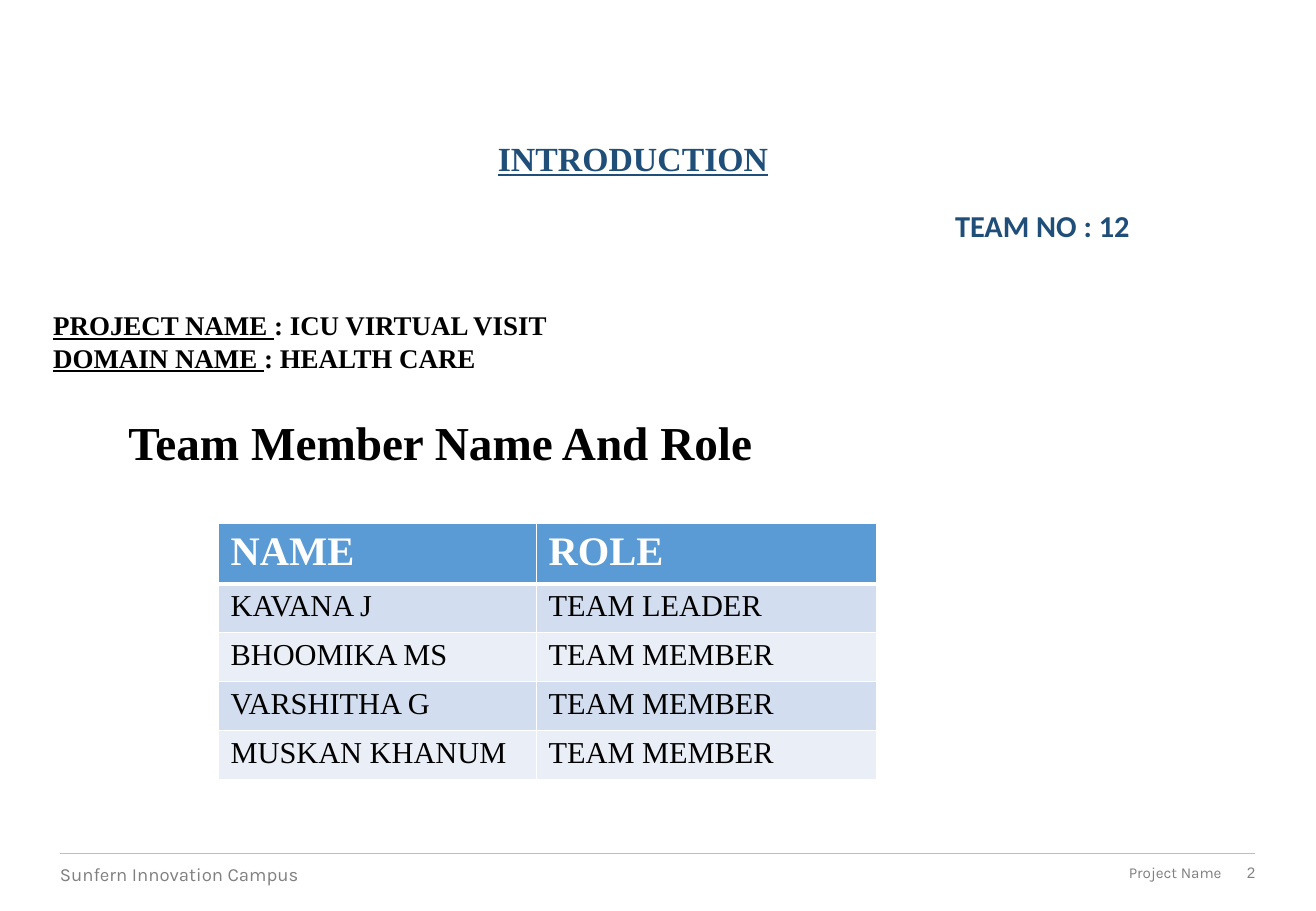
import pptx
import pptx.util
import pptx.dml.color
import pptx.enum.shapes
import pptx.enum.text
import pptx.oxml
import pptx.oxml.ns

Pt = pptx.util.Pt
ALIGN = pptx.enum.text.PP_ALIGN
ANCHOR = pptx.enum.text.MSO_ANCHOR
SERIF = "Times New Roman"
NAVY, BLACK, GREY, WHITE = "1F4E79", "000000", "808080", "FFFFFF"
HEADER_FILL, BAND_FILLS = "5B9BD5", ("D2DEEF", "EAEFF7")
MEMBERS = [
    ("NAME", "ROLE"),
    ("KAVANA J", "TEAM LEADER"),
    ("BHOOMIKA MS", "TEAM MEMBER"),
    ("VARSHITHA G", "TEAM MEMBER"),
    ("MUSKAN KHANUM", "TEAM MEMBER"),
]


def rgb(value):
    return pptx.dml.color.RGBColor.from_string(value)


def add_run(p, text, color, **font):
    r = p.add_run()
    r.text = text
    r.font.color.rgb = rgb(color)
    for key, value in font.items():
        setattr(r.font, key, value)


def add_text(s, box, lines, color, align=ALIGN.LEFT, frame=None, **font):
    """Add a text box; each line is a list of (text, underlined) runs."""
    tf = s.shapes.add_textbox(*map(Pt, box)).text_frame
    settings = {"word_wrap": True,
                "auto_size": pptx.enum.text.MSO_AUTO_SIZE.SHAPE_TO_FIT_TEXT}
    for key, value in {**settings, **(frame or {})}.items():
        setattr(tf, key, value)
    for i, runs in enumerate(lines):
        p = tf.add_paragraph() if i else tf.paragraphs[0]
        p.alignment = align
        for text, underline in runs:
            add_run(p, text, color, underline=underline, **font)


def add_footer(s, x, y, w):
    line = s.shapes.add_connector(pptx.enum.shapes.MSO_CONNECTOR.STRAIGHT,
                                  Pt(x), Pt(y), Pt(x + w), Pt(y))
    line.line.color.rgb = rgb("BFBFBF")
    line.line.width = Pt(0.5)
    pptx.oxml.ns.qn("a:effectLst")
    line._element.spPr.append(
        pptx.oxml.parse_xml(f'<a:effectLst {pptx.oxml.ns.nsdecls("a")}/>'))
    flush = {f"margin_{side}": 0 for side in ("left", "top", "right", "bottom")}
    middle = {**flush, "vertical_anchor": ANCHOR.MIDDLE}
    top = y + 5.75
    add_text(s, (x, top, 228, 13.7), [[("Sunfern Innovation Campus", False)]], GREY,
             frame=flush, name="Karla", size=Pt(11))
    for text, right, width, face in (("Project Name", x + w - 20, 185, "Karla"),
                                     ("2", x + w, 48, "Arial")):
        add_text(s, (right - width, top, width, 10.8), [[(text, False)]], GREY,
                 ALIGN.RIGHT, middle, name=face, size=Pt(9))


def add_headings(s, x, y):
    serif = {"name": SERIF, "bold": True}
    add_text(s, (x + 263.5, y, 219, 31.5), [[("INTRODUCTION", True)]], NAVY,
             size=Pt(20), **serif)
    add_text(s, (x + 534.5, y + 41, 160, 29), [[("TEAM NO : 12", False)]], NAVY,
             name="Calibri", bold=True, size=Pt(18))
    add_text(s, (x, y + 101.5, 307.5, 46),
             [[("PROJECT NAME ", True), (": ICU VIRTUAL VISIT", False)],
              [("DOMAIN NAME ", True), (": HEALTH CARE", False)]], BLACK,
             size=Pt(16), **serif)
    add_text(s, (x + 44.5, y + 163.5, 507, 41),
             [[("Team Member Name And Role", False)]], BLACK, size=Pt(28), **serif)


def set_borders(cell, **widths):
    """Draw white cell borders, given in points by side letter."""
    for side, width in widths.items():
        cell._tc.get_or_add_tcPr().append(pptx.oxml.parse_xml(
            f'<a:ln{side} {pptx.oxml.ns.nsdecls("a")} w="{Pt(width)}">'
            f'<a:solidFill><a:srgbClr val="{WHITE}"/></a:solidFill></a:ln{side}>'))


def add_member_table(s, x, y, col_widths, header_height, row_height):
    height = header_height + row_height * (len(MEMBERS) - 1)
    table = s.shapes.add_table(len(MEMBERS), len(col_widths), Pt(x), Pt(y),
                               Pt(sum(col_widths)), Pt(height)).table
    for column, width in zip(table.columns, col_widths):
        column.width = Pt(width)
    for i, member in enumerate(MEMBERS):
        header = i == 0
        table.rows[i].height = Pt(header_height if header else row_height)
        for j, text in enumerate(member):
            cell = table.cell(i, j)
            set_borders(cell, L=1, R=1, T=3 if i == 1 else 1, B=3 if header else 1)
            cell.fill.solid()
            cell.fill.fore_color.rgb = rgb(HEADER_FILL if header else BAND_FILLS[(i - 1) % 2])
            add_run(cell.text_frame.paragraphs[0], text, WHITE if header else BLACK,
                    name=SERIF, size=Pt(24 if header else 18), bold=header)


def main():
    prs = pptx.Presentation()
    prs.slide_width, prs.slide_height = Pt(780), Pt(540)
    s = prs.slides.add_slide(prs.slide_layouts[6])
    add_footer(s, 35.5, 506, 708.5)
    add_headings(s, 24.5, 78)
    add_member_table(s, 129.5, 310, (188.5, 201.5), 36, 29)
    prs.save("out.pptx")


if __name__ == "__main__":
    main()
